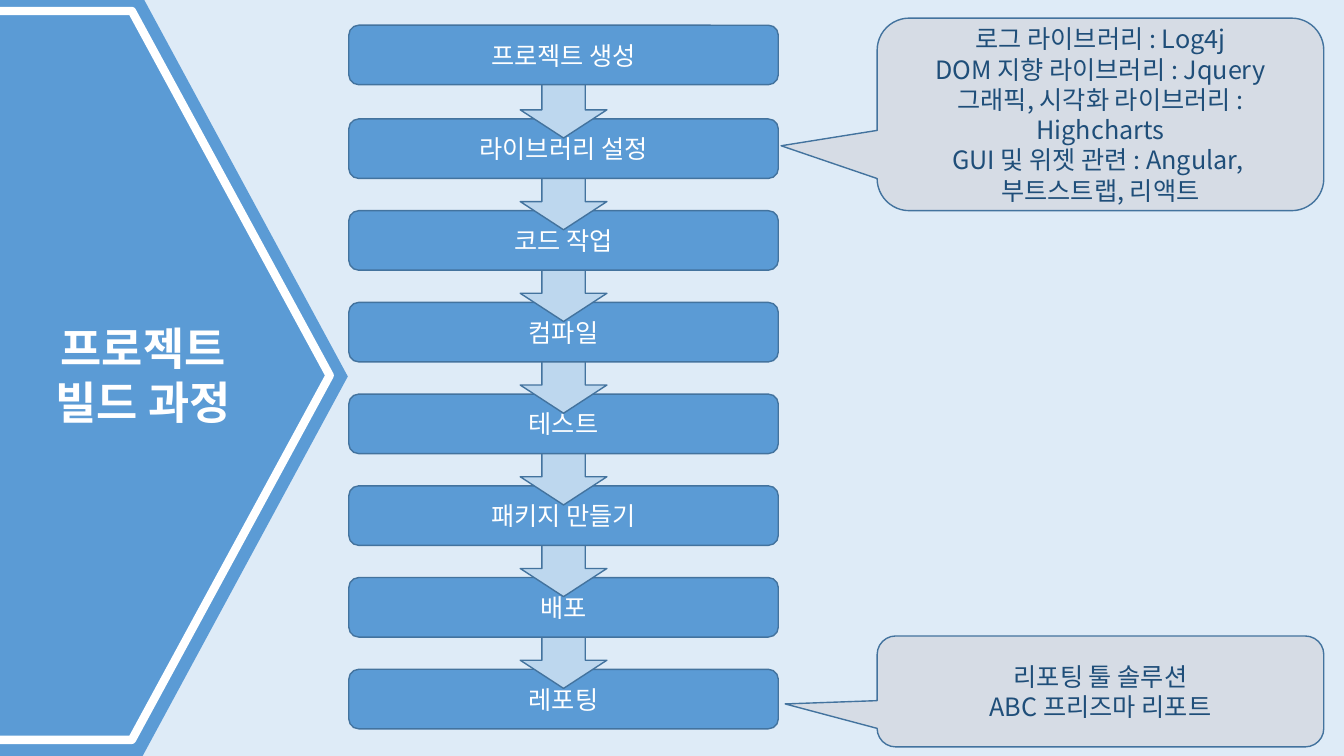
from dataclasses import dataclass

import lxml.etree
import pptx
import pptx.dml.color
import pptx.enum.shapes
import pptx.enum.text
import pptx.oxml.ns
import pptx.util
from pptx.util import Inches

RGBColor = pptx.dml.color.RGBColor
MSO_SHAPE = pptx.enum.shapes.MSO_SHAPE
MSO_ANCHOR = pptx.enum.text.MSO_ANCHOR

PALE = RGBColor(0xDE, 0xEB, 0xF7)
BLUE = RGBColor(0x5B, 0x9B, 0xD5)
LIGHT_BLUE = RGBColor(0xBD, 0xD7, 0xEE)
EDGE = RGBColor(0x43, 0x73, 0x9E)
GREY = RGBColor(0xD6, 0xDC, 0xE5)
NAVY = RGBColor(0x1F, 0x4E, 0x79)
WHITE = RGBColor(0xFF, 0xFF, 0xFF)
FONT = "Noto Sans CJK KR"

STEPS = ["프로젝트 생성", "라이브러리 설정", "코드 작업", "컴파일",
         "테스트", "패키지 만들기", "배포", "레포팅"]
FIRST_TOP, SECOND_TOP, PITCH = 0.25, 1.18, 0.91
ARROW_RISE = 0.37


@dataclass
class Box:
    left: float
    top: float
    width: float
    height: float


@dataclass
class Callout:
    box: Box
    tail: tuple[float, float]
    lines: list[str]


CALLOUTS = [
    Callout(Box(8.7, 0.18, 4.43, 1.91), (-0.715, 0.163),
            ["로그 라이브러리 : Log4j", "DOM 지향 라이브러리 : Jquery",
             "그래픽, 시각화 라이브러리 : Highcharts",
             "GUI 및 위젯 관련 : Angular, ", "부트스트랩, 리액트"]),
    Callout(Box(8.7, 6.31, 4.43, 1.1), (-0.706, 0.113),
            ["리포팅 툴 솔루션", "ABC 프리즈마 리포트"]),
]


def write(tf, lines: list[str], size: float, color: RGBColor,
          anchor=MSO_ANCHOR.MIDDLE, bold: bool = False) -> None:
    """Fill a text frame with one centred paragraph per line."""
    tf.word_wrap = True
    tf.vertical_anchor = anchor
    tf.text = "\n".join(lines)
    for p in tf.paragraphs:
        p.alignment = pptx.enum.text.PP_ALIGN.CENTER
        p.font.name = FONT
        p.font.size = pptx.util.Pt(size)
        p.font.bold = bold
        p.font.color.rgb = color
        defaults = p._p.get_or_add_pPr().get_or_add_defRPr()
        lxml.etree.SubElement(defaults, pptx.oxml.ns.qn("a:ea"), typeface=FONT)


def add_box(s, kind, box: Box, fill: RGBColor,
            line: RGBColor | None = EDGE, line_width: float = 1):
    sp = s.shapes.add_shape(kind, Inches(box.left), Inches(box.top),
                            Inches(box.width), Inches(box.height))
    sp.shadow.inherit = False
    sp.fill.solid()
    sp.fill.fore_color.rgb = fill
    if line is None:
        sp.line.fill.background()
    else:
        sp.line.color.rgb = line
        sp.line.width = pptx.util.Pt(line_width)
    return sp


def add_steps(s) -> None:
    """Draw the steps from last to first, so each box covers its arrow's tail."""
    for i, name in reversed(list(enumerate(STEPS))):
        top = SECOND_TOP + PITCH * (i - 1) if i else FIRST_TOP
        sp = add_box(s, MSO_SHAPE.ROUNDED_RECTANGLE, Box(3.46, top, 4.26, 0.59), BLUE)
        write(sp.text_frame, [name], 18, WHITE)
        if i:
            add_box(s, MSO_SHAPE.DOWN_ARROW,
                    Box(5.16, top - ARROW_RISE, 0.86, 0.56), LIGHT_BLUE)


def add_title_panel(s) -> None:
    add_box(s, MSO_SHAPE.PENTAGON, Box(-0.62, -0.03, 4.07, 7.53), BLUE, None)
    frame = add_box(s, MSO_SHAPE.PENTAGON, Box(-0.8, 0.11, 4.07, 7.23), BLUE, WHITE, 6)
    frame.adjustments[0] = 0.482

    title = s.shapes.title
    title.left, title.top = Inches(-0.85), Inches(3.13)
    title.width, title.height = Inches(4.54), Inches(1.18)
    write(title.text_frame, ["프로젝트", "빌드 과정"], 32, WHITE, MSO_ANCHOR.TOP, True)
    title.text_frame.auto_size = pptx.enum.text.MSO_AUTO_SIZE.SHAPE_TO_FIT_TEXT
    frame.element.addnext(title.element)


def add_callout(s, callout: Callout) -> None:
    sp = add_box(s, MSO_SHAPE.ROUNDED_RECTANGULAR_CALLOUT, callout.box, GREY)
    sp.adjustments[0], sp.adjustments[1] = callout.tail
    write(sp.text_frame, callout.lines, 18, NAVY)


def main() -> None:
    prs = pptx.Presentation()
    prs.slide_width, prs.slide_height = Inches(13.33), Inches(7.5)
    s = prs.slides.add_slide(prs.slide_layouts[5])
    s.background.fill.solid()
    s.background.fill.fore_color.rgb = PALE
    add_steps(s)
    add_title_panel(s)
    for callout in CALLOUTS:
        add_callout(s, callout)
    prs.save("out.pptx")


if __name__ == "__main__":
    main()
